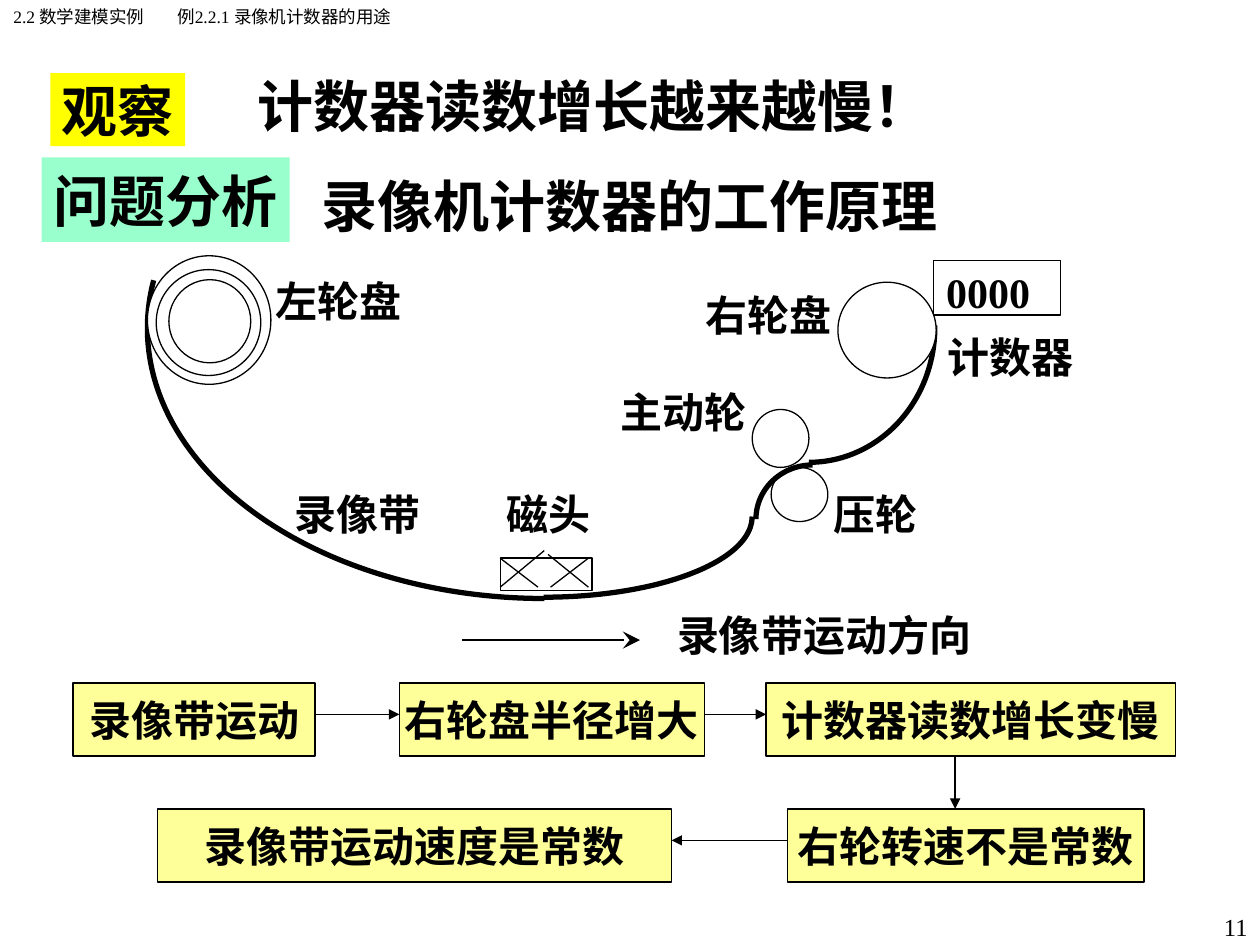
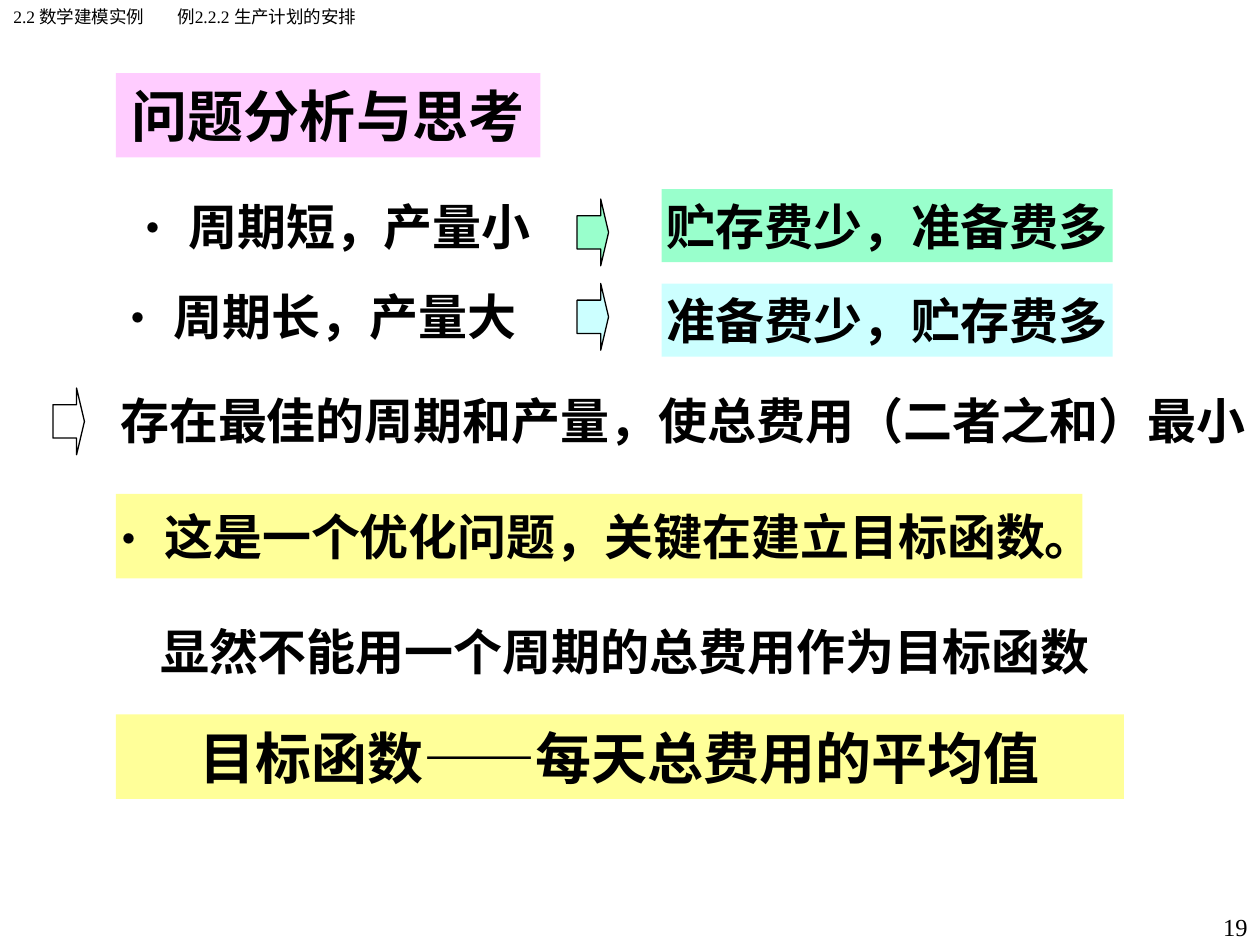
import itertools

import pptx
import pptx.dml.color
import pptx.enum.shapes
import pptx.enum.text
import pptx.oxml.ns
import pptx.util
from lxml import etree

Inches = pptx.util.Inches
RGB = pptx.dml.color.RGBColor
Shape = pptx.enum.shapes.MSO_SHAPE
Align = pptx.enum.text.PP_ALIGN
Anchor = pptx.enum.text.MSO_ANCHOR
qn = pptx.oxml.ns.qn

BLACK = RGB(0, 0, 0)
WHITE = RGB(0xFF, 0xFF, 0xFF)
YELLOW = RGB(0xFF, 0xFF, 0)
PALE_YELLOW = RGB(0xFF, 0xFF, 0x99)
MINT = RGB(0x99, 0xFF, 0xCC)
PINK = RGB(0xFF, 0xCC, 0xFF)
CYAN = RGB(0xCC, 0xFF, 0xFF)
SERIF, SANS = "Times New Roman", "Noto Sans CJK SC"
THIN, THICK = 0.75, 3
HEADING, BODY, LABEL = 32, 28, 24

CHAPTER = "2.2 数学建模实例"

# Recorder slide: (text, left, top, width, height) and, for bands, a fill
RECORDER_HEADINGS = [
    ("计数器读数增长越来越慢！", 2, 0.5, 5.42, 0.67),
    ("录像机计数器的工作原理", 2.5, 1.25, 5, 0.75),
]
RECORDER_BANDS = [
    ("问题分析", 0.33, 1.25, 1.97, 0.67, MINT),
    ("观察", 0.4, 0.58, 1.07, 0.58, YELLOW),
]
PART_LABELS = [
    ("主动轮", 4.83, 3.02, 1.39, 0.51),
    ("压轮", 6.52, 3.83, 0.9, 0.45),
    ("左轮盘", 2.09, 2.14, 1.24, 0.66),
    ("右轮盘", 5.5, 2.25, 1.26, 0.46),
    ("磁头", 3.92, 3.83, 1, 0.42),
    ("计数器", 7.42, 2.58, 1.35, 0.5),
    ("录像带", 2.24, 3.83, 1.26, 0.44),
]
DIRECTION = ("录像带运动方向", 5.33, 4.75, 2.42, 0.58)
COUNTER = ("0000", 7.41, 2.07, 1.01, 0.43)
ROLLERS = [(6.12, 3.71, 0.45, 0.43), (5.97, 3.25, 0.45, 0.46)]
REELS = [
    (1.17, 2.03, 0.98, 1.02), (6.65, 2.24, 0.78, 0.76), (1.34, 2.24, 0.6, 0.61),
    (1.24, 2.14, 0.83, 0.84), (1.34, 2.22, 0.65, 0.66),
]
MAGNETIC_HEAD = (3.97, 4.43, 0.73, 0.26)
HEAD_STROKES = [
    (3.97, 4.66, 4.32, 4.37), (4.37, 4.66, 4.67, 4.43),
    (3.97, 4.43, 4.27, 4.66), (4.35, 4.4, 4.67, 4.66),
]
# Tape arcs: ellipse box, then start and end angle in degrees, clockwise
TAPE = [
    ((1.17, 0.46, 6.3, 4.29), 90, 187),
    ((2.66, 3.46, 3.31, 1.28), 0, 90),
    ((5.42, 1.53, 2, 2.14), 359, 90),
]
PINCHED_TAPE = ((6, 3.69, 0.9, 0.86), 180, 270)

# Flow of the argument: (text, left, width)
STEP_H, ARROW_DROP = 0.58, 0.25
UPPER_Y, LOWER_Y = 5.42, 6.42
UPPER_STEPS = [("录像带运动", 0.58, 1.92), ("右轮盘半径增大", 3.17, 2.42),
               ("计数器读数增长变慢", 6.08, 3.25)]
LOWER_STEPS = [("右轮转速不是常数", 6.25, 2.83), ("录像带运动速度是常数", 1.25, 4.08)]
DOWN_X = 7.58

# Planning slide
PLAN_LEFT, ROW_H = 0.92, 0.67
PLAN_TITLE = "问题分析与思考"
BULLETS = [
    (" 周期短，产量小", PLAN_LEFT, 1.5, 3.17, 0.58, Align.LEFT),
    (" 周期长，产量大", 1, 2.17, 3, ROW_H, Align.CENTER),
]
COSTS = [("贮存费少，准备费多", 1.5, 1.58, MINT), ("准备费少，贮存费多", 2.25, 2.25, CYAN)]
OPTIMUM = "存在最佳的周期和产量，使总费用（二者之和）最小"
KEY_POINT = " 这是一个优化问题，关键在建立目标函数。"
REJECTED = "显然不能用一个周期的总费用作为目标函数"
OBJECTIVE = "目标函数——每天总费用的平均值"


def write(box, text, size, align=Align.CENTER, font=SERIF, bold=True,
          anchor=Anchor.MIDDLE, wrap=False, bullet=False, before=0):
    frame = box.text_frame
    frame.text = text
    frame.word_wrap = wrap
    frame.vertical_anchor = anchor
    paragraph = frame.paragraphs[0]
    paragraph.alignment = align
    if before:
        paragraph.space_before = pptx.util.Pt(before)
    if bullet:
        properties = paragraph._p.get_or_add_pPr()
        etree.SubElement(properties, qn("a:buFont")).set("typeface", SANS)
        etree.SubElement(properties, qn("a:buChar")).set("char", "•")
    for run in paragraph.runs:
        run.font.size = pptx.util.Pt(size)
        run.font.bold = bold
        run.font.name = font
        run.font.color.rgb = BLACK
        # East Asian glyphs take their own typeface entry
        etree.SubElement(run._r.get_or_add_rPr(), qn("a:ea")).set("typeface", SANS)


def add_text(slide, text, left, top, width, height, size, **style):
    """Add text that wraps inside its box."""
    box = slide.shapes.add_textbox(*map(Inches, (left, top, width, height)))
    write(box, text, size, wrap=True, anchor=Anchor.TOP, **style)


def add_preset(slide, kind, place, fill=None, line_width=THIN):
    shape = slide.shapes.add_shape(kind, *map(Inches, place))
    shape.shadow.inherit = False
    if fill is None:
        shape.fill.background()
    else:
        shape.fill.solid()
        shape.fill.fore_color.rgb = fill
    if line_width:
        shape.line.color.rgb = BLACK
        shape.line.width = pptx.util.Pt(line_width)
    else:
        shape.line.fill.background()
    return shape


def add_band(slide, text, left, top, width, height, fill=None, size=HEADING, **style):
    """Add one unwrapped line of text on a borderless, optionally filled band."""
    place = (left, top, width, height)
    band = add_preset(slide, Shape.RECTANGLE, place, fill, line_width=0)
    write(band, text, size, **style)


def add_line(slide, x1, y1, x2, y2, arrowhead=None, head_size="med"):
    line = slide.shapes.add_connector(
        pptx.enum.shapes.MSO_CONNECTOR.STRAIGHT, *map(Inches, (x1, y1, x2, y2)))
    line.line.color.rgb = BLACK
    line.line.width = pptx.util.Pt(THIN)
    properties = line._element.spPr
    if arrowhead:
        end = etree.SubElement(properties.find(qn("a:ln")), qn("a:tailEnd"))
        end.set("type", arrowhead)
        end.set("w", head_size)
        end.set("len", head_size)
    etree.SubElement(properties, qn("a:effectLst"))


def add_tape(slide, ellipse, start, end):
    arc = add_preset(slide, Shape.ARC, ellipse, line_width=THICK)
    for index, degrees in enumerate((start, end)):
        # Angles count 60000 units a degree, adjustments 100000 units a whole
        arc.adjustments[index] = degrees * 0.6


def add_page(deck, example, number):
    """Add a blank slide with the running header and the page number."""
    slide = deck.slides.add_slide(deck.slide_layouts[6])
    add_text(slide, CHAPTER, 0, 0, 1.25, 0.44, 10, before=6.2, bold=False)
    add_text(slide, example, 1.31, 0, 1.94, 0.44, 10, align=Align.LEFT,
             before=6.2, bold=False)
    add_text(slide, number, 9.58, 7.19, 0.42, 0.31, 14, align=Align.RIGHT, bold=False)
    return slide


def draw_recorder(slide):
    for roller in ROLLERS:
        add_preset(slide, Shape.OVAL, roller, WHITE)
    for arc in TAPE:
        add_tape(slide, *arc)
    for reel in REELS:
        add_preset(slide, Shape.OVAL, reel, WHITE)
    counter = add_preset(slide, Shape.RECTANGLE, COUNTER[1:], WHITE)
    write(counter, COUNTER[0], LABEL, align=Align.JUSTIFY, anchor=Anchor.TOP, wrap=True)
    add_preset(slide, Shape.RECTANGLE, MAGNETIC_HEAD, WHITE)
    for stroke in HEAD_STROKES:
        add_line(slide, *stroke)
    add_tape(slide, *PINCHED_TAPE)
    for label in PART_LABELS:
        add_text(slide, *label, LABEL, align=Align.JUSTIFY)
    add_line(slide, 3.67, 5.08, 5.08, 5.08, "stealth", "lg")
    add_band(slide, *DIRECTION, size=LABEL)


def draw_flow(slide):
    for steps, top in ((UPPER_STEPS, UPPER_Y), (LOWER_STEPS, LOWER_Y)):
        for text, left, width in steps:
            place = (left, top, width, STEP_H)
            write(add_preset(slide, Shape.RECTANGLE, place, PALE_YELLOW), text, LABEL)
        y = top + ARROW_DROP
        for (_, left, width), (_, next_left, next_width) in itertools.pairwise(steps):
            if next_left > left:
                add_line(slide, left + width, y, next_left, y, "triangle")
            else:
                add_line(slide, left, y, next_left + next_width, y, "triangle")
    add_line(slide, DOWN_X, UPPER_Y + STEP_H, DOWN_X, LOWER_Y, "triangle")


def add_block_arrow(slide, left, top, fill=None):
    arrow = add_preset(slide, Shape.RIGHT_ARROW, (left, top, 0.25, 0.53), fill)
    arrow.adjustments[0] = 0.5
    arrow.adjustments[1] = 0.25


def build_recorder_slide(deck):
    slide = add_page(deck, "例2.2.1 录像机计数器的用途", "11")
    for heading in RECORDER_HEADINGS:
        add_band(slide, *heading)
    draw_recorder(slide)
    draw_flow(slide)
    for band in RECORDER_BANDS:
        add_band(slide, *band, font=SANS)


def build_planning_slide(deck):
    slide = add_page(deck, "例2.2.2 生产计划的安排", "19")
    add_band(slide, PLAN_TITLE, PLAN_LEFT, 0.58, 3.37, ROW_H, PINK)
    for *bullet, align in BULLETS:
        add_band(slide, *bullet, size=BODY, align=align, bullet=True)
    for text, top, arrow_top, fill in COSTS:
        add_band(slide, text, 5.25, top, 3.58, 0.58, fill, BODY)
        add_block_arrow(slide, 4.58, arrow_top, fill)
    add_band(slide, OPTIMUM, PLAN_LEFT, 3, 9, ROW_H, size=BODY)
    add_block_arrow(slide, 0.42, 3.08)
    add_band(slide, KEY_POINT, PLAN_LEFT, 3.92, 7.67, ROW_H, PALE_YELLOW, BODY, bullet=True)
    add_band(slide, REJECTED, PLAN_LEFT, 4.83, 8.08, ROW_H, size=BODY)
    add_band(slide, OBJECTIVE, PLAN_LEFT, 5.67, 8, ROW_H, PALE_YELLOW)


def main():
    deck = pptx.Presentation()
    deck.slide_width, deck.slide_height = Inches(10), Inches(7.5)
    build_recorder_slide(deck)
    build_planning_slide(deck)
    deck.save("out.pptx")


if __name__ == "__main__":
    main()
